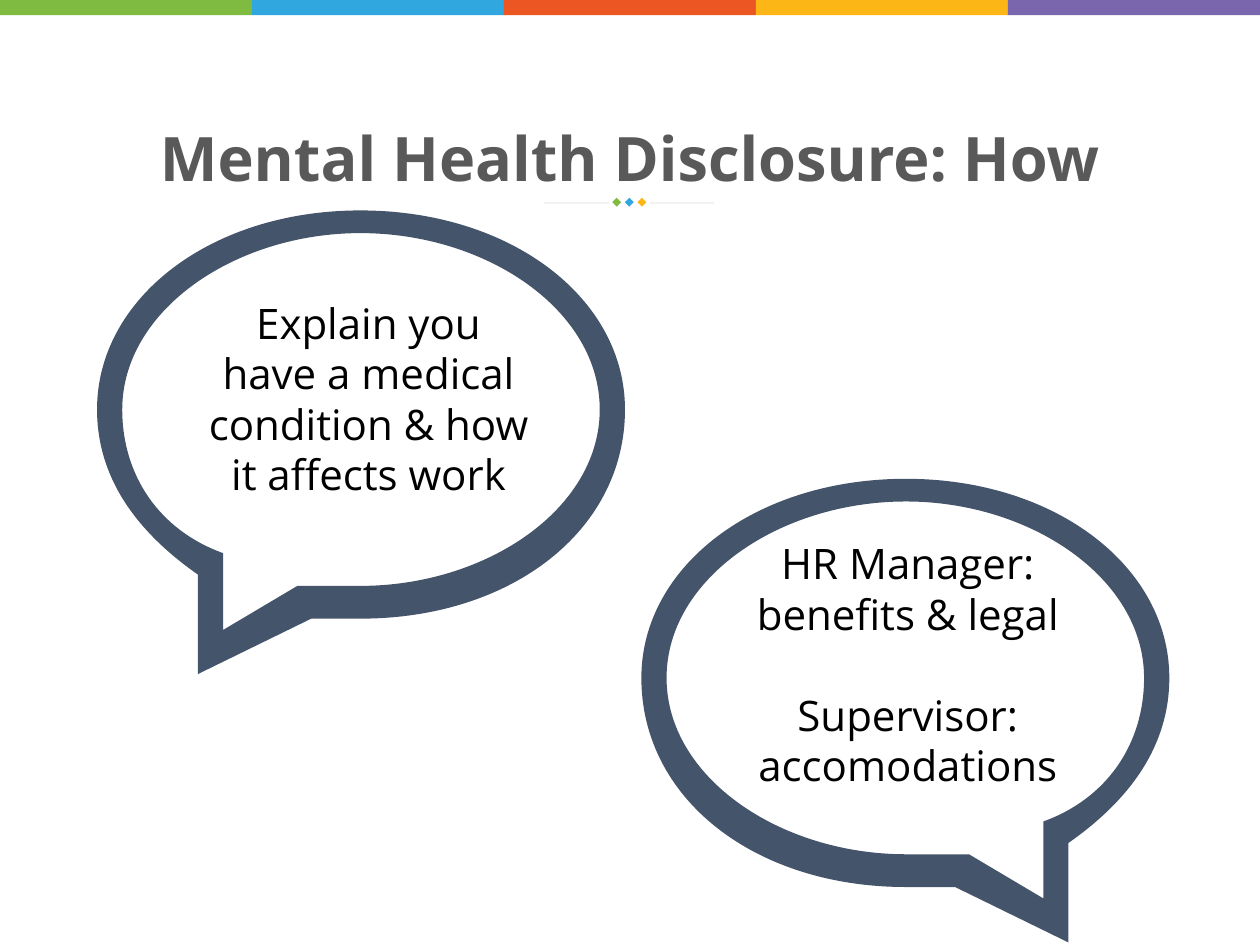
from dataclasses import dataclass

from lxml.etree import SubElement
from pptx import Presentation
from pptx.dml.color import RGBColor
from pptx.enum.shapes import MSO_CONNECTOR, MSO_SHAPE
from pptx.enum.text import MSO_ANCHOR, MSO_AUTO_SIZE, PP_ALIGN
from pptx.oxml.ns import qn
from pptx.oxml.xmlchemy import OxmlElement
from pptx.util import Emu, Pt

EMU_PER_PX = 9144
SLIDE_WIDTH, SLIDE_HEIGHT = 1000, 750
BUBBLE_MIRROR_SUM = 1005
COLORS = {
    "green": "7FBB41",
    "blue": "30A7DF",
    "orange": "EC5623",
    "yellow": "FCB616",
    "purple": "7A66AD",
    "rule": "F2F2F2",
    "bubble": "44546A",
    "title": "595959",
    "text": "000000",
}
TITLE_FORMAT = {"name": "Open Sans", "size": Pt(35), "bold": True}
BODY_FORMAT = {"name": "Open Sans", "size": Pt(24), "bold": False}
FRAME_FORMAT = {
    "word_wrap": True,
    "auto_size": MSO_AUTO_SIZE.NONE,
    "vertical_anchor": MSO_ANCHOR.TOP,
}

OUTER_CONTOUR = [
    [(286, 167)],
    [(167, 167), (77, 237), (77, 325)],
    [(77, 378), (107, 421), (157, 456)],
    [(157, 535)],
    [(247, 491)],
    [(257, 491), (276, 491), (286, 491)],
    [(406, 491), (496, 421), (496, 325)],
    [(496, 237), (406, 167), (286, 167)],
]
INNER_CONTOUR = [
    [(286, 465)],
    [(267, 465), (257, 465), (236, 465)],
    [(177, 500)],
    [(177, 439)],
    [(127, 421), (97, 378), (97, 325)],
    [(97, 246), (187, 185), (286, 185)],
    [(386, 185), (476, 246), (476, 325)],
    [(476, 404), (386, 465), (286, 465)],
]


@dataclass(frozen=True)
class Box:
    left: int
    top: int
    width: int
    height: int


@dataclass(frozen=True)
class Bubble:
    text_box: Box
    paragraphs: tuple[str, ...]
    mirrored: bool = False
    drop: int = 0


BUBBLES = [
    Bubble(
        Box(154, 231, 277, 172),
        ("Explain you have a medical condition & how it affects work",),
    ),
    Bubble(
        Box(567, 422, 307, 212),
        ("HR Manager: benefits & legal", "Supervisor: accomodations"),
        mirrored=True,
        drop=213,
    ),
]


def px(length: int) -> Emu:
    return Emu(length * EMU_PER_PX)


def rgb(color: str) -> RGBColor:
    return RGBColor.from_string(COLORS[color])


def place(shape, box: Box) -> None:
    for name in ("left", "top", "width", "height"):
        setattr(shape, name, px(getattr(box, name)))


def apply_format(target, values: dict) -> None:
    for name, value in values.items():
        setattr(target, name, value)


def paint(shape, color: str) -> None:
    shape.shadow.inherit = False
    shape.fill.solid()
    shape.fill.fore_color.rgb = rgb(color)
    shape.line.fill.background()


def add_block(slide, kind: MSO_SHAPE, box: Box, color: str) -> None:
    shape = slide.shapes.add_shape(kind, 0, 0, 0, 0)
    place(shape, box)
    paint(shape, color)


def add_rule(slide, start: int, end: int, y: int) -> None:
    connector = slide.shapes.add_connector(
        MSO_CONNECTOR.STRAIGHT, px(start), px(y), px(end), px(y)
    )
    connector.line.color.rgb = rgb("rule")
    connector.line.width = Pt(1)
    SubElement(connector._element.spPr, qn("a:effectLst"))


def write_paragraph(paragraph, text: str, values: dict, color: str) -> None:
    paragraph.alignment = PP_ALIGN.CENTER
    run = paragraph.add_run()
    run.text = text
    apply_format(run.font, values)
    run.font.color.rgb = rgb(color)


def bend_segments(shape, segments: list[list]) -> None:
    lines = iter(list(shape._element.iter(qn("a:lnTo"))))
    for segment in segments:
        first, *others = [next(lines) for _ in segment]
        if not others:
            continue
        curve = OxmlElement("a:cubicBezTo")
        first.addprevious(curve)
        for line in (first, *others):
            curve.append(line[0])
            line.getparent().remove(line)


def add_bubble_outline(slide, bubble: Bubble) -> None:
    def locate(point: tuple[int, int]) -> tuple[Emu, Emu]:
        x = BUBBLE_MIRROR_SUM - point[0] if bubble.mirrored else point[0]
        return px(x), px(point[1] + bubble.drop)

    builder = slide.shapes.build_freeform(*locate(OUTER_CONTOUR[0][0]))
    for contour in (OUTER_CONTOUR, INNER_CONTOUR):
        if contour is INNER_CONTOUR:
            builder.move_to(*locate(contour[0][0]))
        points = [locate(point) for segment in contour[1:] for point in segment]
        builder.add_line_segments(points, close=True)
    shape = builder.convert_to_shape()
    bend_segments(shape, OUTER_CONTOUR[1:] + INNER_CONTOUR[1:])
    paint(shape, "bubble")


def add_bubble_text(slide, bubble: Bubble) -> None:
    text_box = slide.shapes.add_textbox(0, 0, 0, 0)
    place(text_box, bubble.text_box)
    frame = text_box.text_frame
    apply_format(frame, FRAME_FORMAT)
    for index, text in enumerate(bubble.paragraphs):
        paragraph = frame.add_paragraph() if index else frame.paragraphs[0]
        if index:
            paragraph.space_before = Pt(29)
        write_paragraph(paragraph, text, BODY_FORMAT, "text")


def add_title(slide, text: str) -> None:
    title = slide.shapes.title
    place(title, Box(69, 97, 862, 145))
    apply_format(title.text_frame, FRAME_FORMAT)
    paragraph = title.text_frame.paragraphs[0]
    paragraph.line_spacing = 0.9
    write_paragraph(paragraph, text, TITLE_FORMAT, "title")


def main() -> None:
    presentation = Presentation()
    presentation.slide_width = px(SLIDE_WIDTH)
    presentation.slide_height = px(SLIDE_HEIGHT)
    slide = presentation.slides.add_slide(presentation.slide_layouts[5])
    add_title(slide, "Mental Health Disclosure: How")
    bands = ("green", "blue", "orange", "yellow", "purple")
    band_width = SLIDE_WIDTH // len(bands)
    for index, color in enumerate(bands):
        add_block(slide, MSO_SHAPE.RECTANGLE, Box(index * band_width, 0, band_width, 12), color)
    for start, end in ((432, 483), (516, 567)):
        add_rule(slide, start, end, 161)
    for index, color in enumerate(("green", "blue", "yellow")):
        add_block(slide, MSO_SHAPE.DIAMOND, Box(486 + index * 10, 157, 7, 7), color)
    for bubble in BUBBLES:
        add_bubble_outline(slide, bubble)
        add_bubble_text(slide, bubble)
    presentation.save("out.pptx")


if __name__ == "__main__":
    main()
